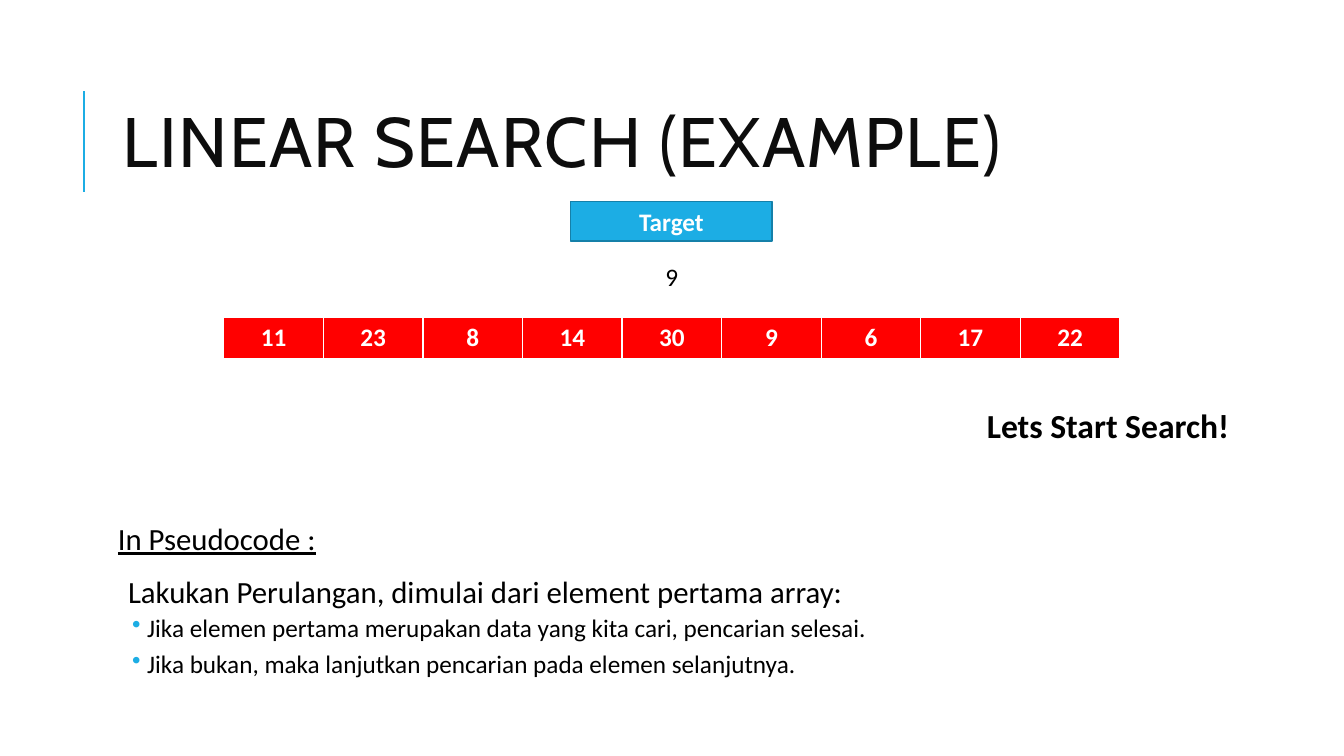
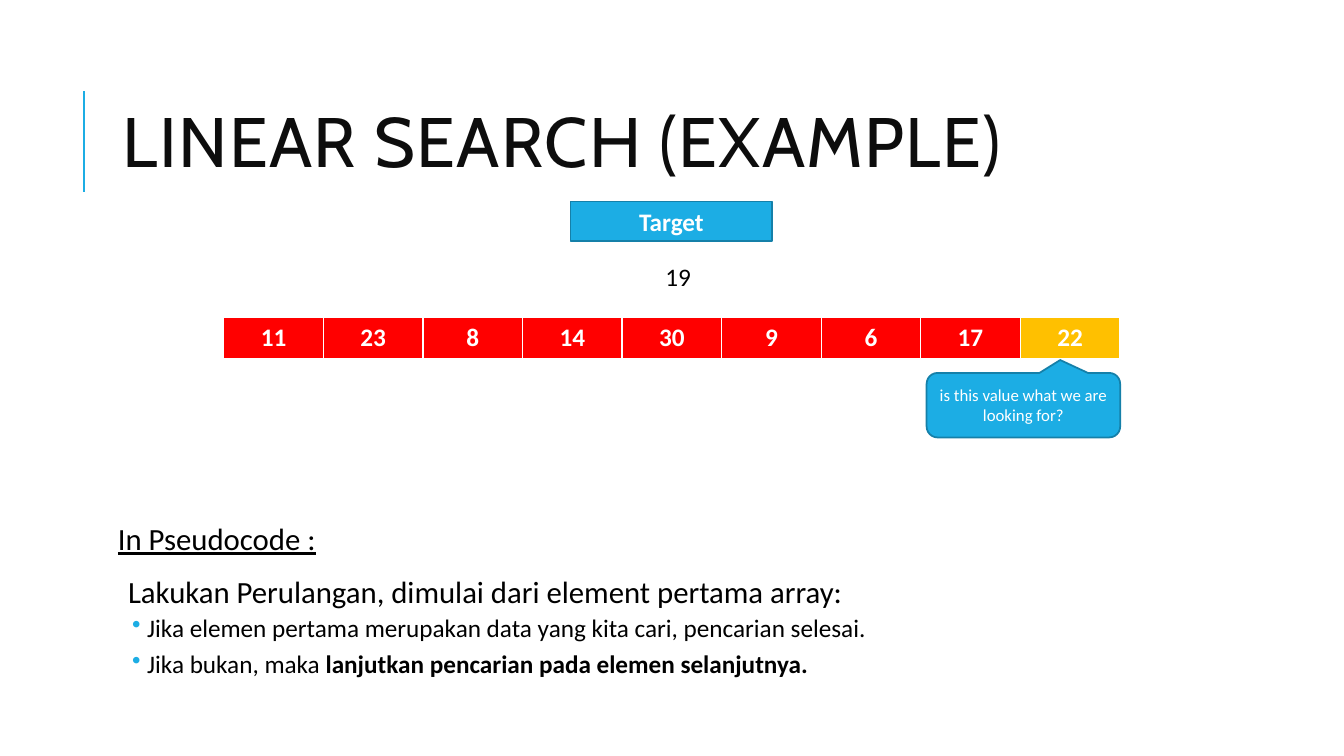
import dataclasses
import typing

import lxml.etree
import pptx
import pptx.dml.color
import pptx.enum.shapes
import pptx.enum.text
import pptx.oxml.ns
import pptx.shapes.autoshape
import pptx.slide
import pptx.text.text
import pptx.util

Inches = pptx.util.Inches
Pt = pptx.util.Pt
Align = pptx.enum.text.PP_ALIGN
Anchor = pptx.enum.text.MSO_ANCHOR
ShapeKind = pptx.enum.shapes.MSO_SHAPE
qn = pptx.oxml.ns.qn

COLORS = {
    "accent": "1CADE4",
    "accent_edge": "1580A9",
    "title": "0D0D0D",
    "text": "000000",
    "white": "FFFFFF",
    "cell": "FF0000",
    "checked": "FFC000",
}
TITLE_FONT = "Cabin"
BODY_FONT = "Calibri"
VALUES = (11, 23, 8, 14, 30, 9, 6, 17, 22)


@dataclasses.dataclass(frozen=True)
class Box:
    left: float
    top: float
    width: float
    height: float

    def lengths(self) -> tuple[int, ...]:
        return tuple(Inches(side) for side in dataclasses.astuple(self))


@dataclasses.dataclass(frozen=True)
class TextStyle:
    size: float
    color: str = "text"
    font: str = BODY_FONT
    bold: bool = False
    underline: bool = False


@dataclasses.dataclass(frozen=True)
class ParagraphStyle:
    text: TextStyle
    before: float
    after: float
    margin: float = 0
    bullet: str = ""


@dataclasses.dataclass(frozen=True)
class SearchStep:
    target: int
    checked: typing.Optional[int] = None
    question: str = ""
    call: str = ""
    stress_next: bool = False


TITLE = TextStyle(50, "title", TITLE_FONT)
LABEL = TextStyle(18, "white", bold=True)
HEADING = ParagraphStyle(TextStyle(22, underline=True), 0, 2)
LEAD = ParagraphStyle(TextStyle(22), 12, 2, 0.1)
BULLET = ParagraphStyle(TextStyle(18), 2, 4, 0.29, "•")

STEPS = (
    SearchStep(target=9, call="Lets Start Search!"),
    SearchStep(
        target=19,
        checked=len(VALUES) - 1,
        question="is this value what we are looking for?",
        stress_next=True,
    ),
)


def rgb(name: str) -> pptx.dml.color.RGBColor:
    return pptx.dml.color.RGBColor.from_string(COLORS[name])


def format_runs(para: pptx.text.text._Paragraph, style: TextStyle) -> None:
    for span in para.runs:
        span.font.name = style.font
        span.font.size = Pt(style.size)
        span.font.bold = style.bold
        span.font.underline = style.underline
        span.font.color.rgb = rgb(style.color)


def add_text(
    page: pptx.slide.Slide,
    box: Box,
    text: str,
    style: TextStyle,
    align: Align = Align.LEFT,
    wrap: bool = True,
) -> pptx.text.text.TextFrame:
    frame = page.shapes.add_textbox(*box.lengths()).text_frame
    frame.word_wrap = wrap
    frame.text = text
    frame.paragraphs[0].alignment = align
    format_runs(frame.paragraphs[0], style)
    return frame


def add_label(
    page: pptx.slide.Slide, kind: ShapeKind, box: Box, text: str, style: TextStyle
) -> pptx.shapes.autoshape.Shape:
    """Add an accent-coloured shape with centred text."""
    shape = page.shapes.add_shape(kind, *box.lengths())
    shape.shadow.inherit = False
    shape.fill.solid()
    shape.fill.fore_color.rgb = rgb("accent")
    shape.line.color.rgb = rgb("accent_edge")
    shape.line.width = Pt(1.25)
    frame = shape.text_frame
    frame.word_wrap = True
    frame.vertical_anchor = Anchor.MIDDLE
    frame.text = text
    frame.paragraphs[0].alignment = Align.CENTER
    format_runs(frame.paragraphs[0], style)
    return shape


def add_title(page: pptx.slide.Slide, text: str) -> None:
    """Add the title and the accent rule to its left."""
    rule = page.shapes.add_connector(
        pptx.enum.shapes.MSO_CONNECTOR.STRAIGHT,
        Inches(0.83), Inches(1.9), Inches(0.83), Inches(0.9),
    )
    rule.line.color.rgb = rgb("accent")
    rule.line.width = Pt(1.5)
    lxml.etree.SubElement(rule._element.spPr, qn("a:effectLst"))

    frame = add_text(page, Box(1.12, 0.64, 10.63, 1.64), text, TITLE)
    frame.vertical_anchor = Anchor.MIDDLE
    para = frame.paragraphs[0]
    para.line_spacing = 0.8
    para.runs[0].font._element.set("spc", "100")


def style_paragraph(para: pptx.text.text._Paragraph, style: ParagraphStyle) -> None:
    format_runs(para, style.text)
    para.line_spacing = 0.9
    para.space_before = Pt(style.before)
    para.space_after = Pt(style.after)
    properties = para._p.get_or_add_pPr()
    properties.set("marL", str(Inches(style.margin)))
    if style.bullet:
        properties.set("indent", str(Inches(-0.15)))
        color = lxml.etree.SubElement(properties, qn("a:buClr"))
        lxml.etree.SubElement(color, qn("a:srgbClr"), val=COLORS["accent"])
        lxml.etree.SubElement(properties, qn("a:buChar"), char=style.bullet)


def add_pseudocode(page: pptx.slide.Slide, stress_next: bool) -> None:
    lines = (
        ("In Pseudocode :", HEADING),
        ("Lakukan Perulangan, dimulai dari element pertama array:", LEAD),
        ("Jika elemen pertama merupakan data yang kita cari, pencarian selesai.", BULLET),
        ("Jika bukan, maka ", BULLET),
    )
    frame = page.shapes.add_textbox(*Box(1.12, 5.15, 10.63, 1.75).lengths()).text_frame
    frame.word_wrap = True
    frame.margin_left = frame.margin_right = Inches(0.05)
    frame.text = "\n".join(text for text, _ in lines)
    next_step = frame.paragraphs[-1].add_run()
    next_step.text = "lanjutkan pencarian pada elemen selanjutnya."
    for para, (_, style) in zip(frame.paragraphs, lines):
        style_paragraph(para, style)
    next_step.font.bold = stress_next


def add_array(page: pptx.slide.Slide, checked: typing.Optional[int]) -> None:
    box = Box(2.22, 3.15, 8.89, 0.41)
    table = page.shapes.add_table(1, len(VALUES), *box.lengths()).table
    table.horz_banding = False
    for index, value in enumerate(VALUES):
        table.columns[index].width = Inches(box.width / len(VALUES))
        cell = table.cell(0, index)
        cell.fill.solid()
        cell.fill.fore_color.rgb = rgb("checked" if index == checked else "cell")
        cell.text_frame.text = str(value)
        para = cell.text_frame.paragraphs[0]
        para.alignment = Align.CENTER
        format_runs(para, LABEL)


def add_question(page: pptx.slide.Slide, text: str) -> None:
    """Add the callout that points up at the checked cell."""
    callout = add_label(
        page,
        ShapeKind.ROUNDED_RECTANGULAR_CALLOUT,
        Box(9.19, 3.7, 1.92, 0.64),
        text,
        TextStyle(12, "white"),
    )
    for index, value in enumerate((0.19, -0.7, 0.17)):
        callout.adjustments[index] = value


def add_step(deck: pptx.presentation.Presentation, step: SearchStep) -> None:
    page = deck.slides.add_slide(deck.slide_layouts[6])
    add_title(page, "LINEAR SEARCH (EXAMPLE)")
    add_pseudocode(page, step.stress_next)
    add_label(page, ShapeKind.RECTANGLE, Box(5.66, 2, 2, 0.39), "Target", LABEL)
    target = str(step.target)
    target_box = Box(6.5, 2.54, 0.2 + 0.13 * len(target), 0.4)
    add_text(page, target_box, target, TextStyle(18), wrap=False)
    add_array(page, step.checked)
    if step.question:
        add_question(page, step.question)
    if step.call:
        call_style = TextStyle(24, bold=True)
        add_text(page, Box(9.57, 3.97, 2.84, 0.5), step.call, call_style, Align.CENTER)


def main() -> None:
    deck = pptx.Presentation()
    deck.slide_width = Inches(13.33)
    deck.slide_height = Inches(7.5)
    for step in STEPS:
        add_step(deck, step)
    deck.save("out.pptx")


if __name__ == "__main__":
    main()
